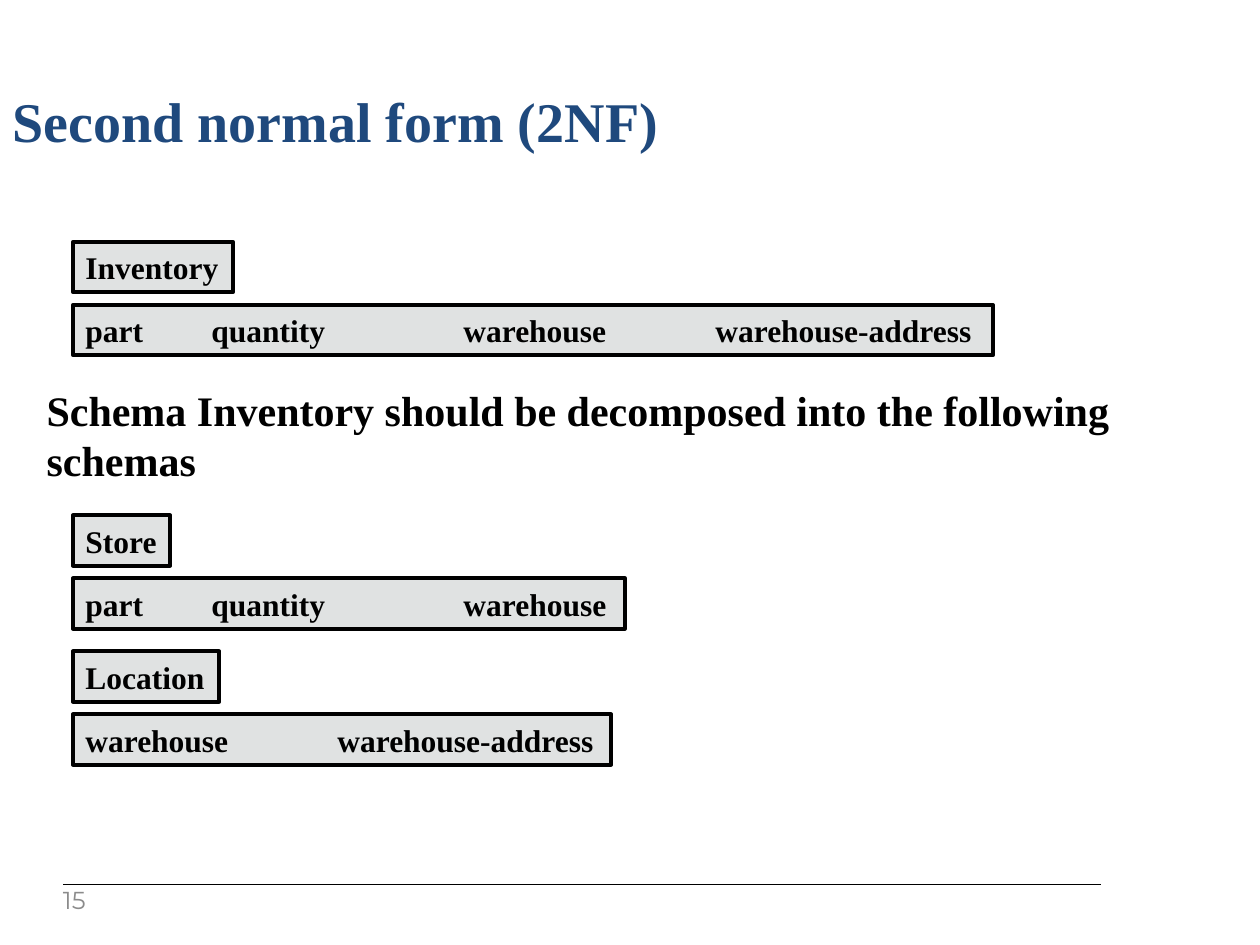
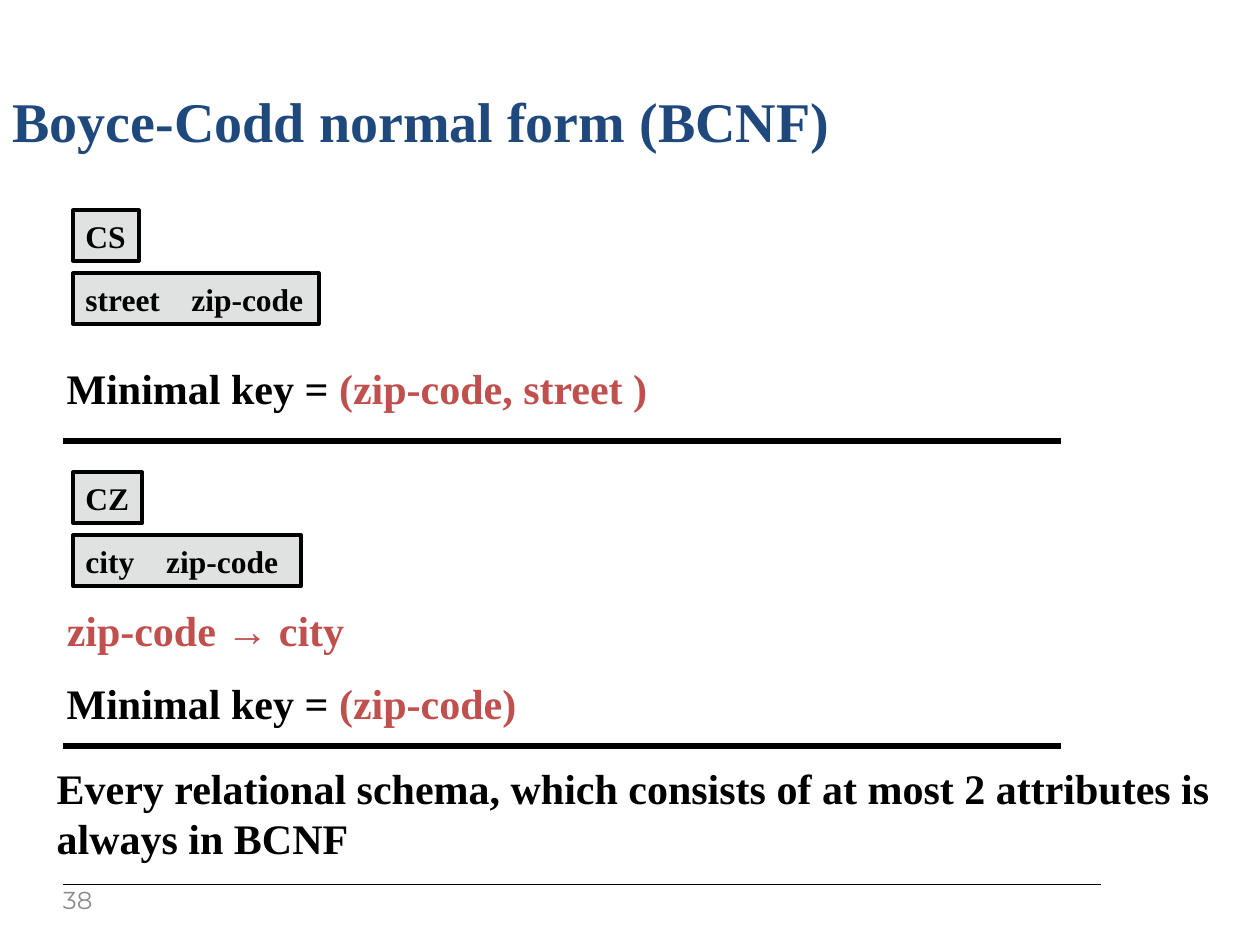
from lxml.etree import SubElement
from pptx import Presentation
from pptx.dml.color import RGBColor
from pptx.enum.shapes import MSO_CONNECTOR, MSO_SHAPE
from pptx.enum.text import MSO_ANCHOR, PP_ALIGN
from pptx.oxml.ns import qn
from pptx.util import Inches, Pt

COLORS = {
    "title": "1F497D",
    "text": "000000",
    "accent": "C0504D",
    "box": "E0E2E2",
    "number": "8B8B8B",
}
SERIF = "Times New Roman"
SANS = "Montserrat"
BOX_LEFT = 0.58
BOX_HEIGHT = 0.4
ROW_OFFSET = 0.5


def rgb(name):
    return RGBColor.from_string(COLORS[name])


class Deck:
    def __init__(self):
        self.presentation = Presentation()
        self.presentation.slide_width = Inches(10)
        self.presentation.slide_height = Inches(7.5)
        self.slide = None

    def set_font(self, paragraph, size, color=None, name=SERIF, bold=True):
        paragraph.alignment = PP_ALIGN.LEFT
        paragraph.font.name = name
        paragraph.font.size = Pt(size)
        paragraph.font.bold = bold
        if color:
            paragraph.font.color.rgb = rgb(color)

    def set_margins(self, frame, left, top, right, bottom):
        frame.margin_left, frame.margin_top = Inches(left), Inches(top)
        frame.margin_right, frame.margin_bottom = Inches(right), Inches(bottom)

    def add_slide(self, title, number):
        self.slide = self.presentation.slides.add_slide(self.presentation.slide_layouts[5])
        shape = self.slide.shapes.title
        shape.left, shape.top = Inches(0), Inches(0.62)
        shape.width, shape.height = Inches(10), Inches(0.67)
        frame = shape.text_frame
        frame.text = title
        frame.vertical_anchor = MSO_ANCHOR.MIDDLE
        self.set_font(frame.paragraphs[0], 32, "title")
        self.line(7.02, 8.74, 0.75)
        self.page_number(number)

    def page_number(self, number):
        frame = self.text_box(0.5, 7.06, 0.4, 0.21)
        self.set_margins(frame, 0, 0, 0.1, 0.05)
        frame.vertical_anchor = MSO_ANCHOR.MIDDLE
        frame.text = str(number)
        self.set_font(frame.paragraphs[0], 14, "number", SANS, False)

    def text_box(self, left, top, width, height):
        shape = self.slide.shapes.add_textbox(
            Inches(left), Inches(top), Inches(width), Inches(height))
        shape.text_frame.word_wrap = True
        return shape.text_frame

    def statement(self, left, top, width, height, *parts):
        frame = self.text_box(left, top, width, height)
        self.set_margins(frame, 0.2, 0.05, 0.2, 0.05)
        paragraph = frame.paragraphs[0]
        self.set_font(paragraph, 24)
        for text, color in parts:
            run = paragraph.add_run()
            run.text = text
            run.font.color.rgb = rgb(color)

    def line(self, top, right, weight):
        connector = self.slide.shapes.add_connector(
            MSO_CONNECTOR.STRAIGHT, Inches(0.5), Inches(top), Inches(right), Inches(top))
        connector.line.color.rgb = rgb("text")
        connector.line.width = Pt(weight)
        SubElement(connector._element.spPr, qn("a:effectLst"))

    def box(self, top, width, text, tabs=()):
        shape = self.slide.shapes.add_shape(
            MSO_SHAPE.RECTANGLE, Inches(BOX_LEFT), Inches(top), Inches(width), Inches(BOX_HEIGHT))
        shape.shadow.inherit = False
        shape.fill.solid()
        shape.fill.fore_color.rgb = rgb("box")
        shape.line.color.rgb = rgb("text")
        shape.line.width = Pt(2.25)
        frame = shape.text_frame
        frame.word_wrap = True
        frame.vertical_anchor = MSO_ANCHOR.TOP
        self.set_margins(frame, 0.1, 0.05, 0, 0.05)
        frame.text = text
        paragraph = frame.paragraphs[0]
        if tabs:
            tab_list = SubElement(paragraph._p.get_or_add_pPr(), qn("a:tabLst"))
            for position in tabs:
                SubElement(tab_list, qn("a:tab"), pos=str(Inches(position)), algn="l")
        self.set_font(paragraph, 18, "text")

    def schema(self, top, name, name_width, attributes, row_width, tabs):
        self.box(top + ROW_OFFSET, row_width, "\t".join(attributes), tabs)
        self.box(top, name_width, name)

    def minimal_key(self, top, key):
        self.statement(0.33, top, 9.67, 0.51, ("Minimal key = ", "text"), (key, "accent"))


def build_second_normal_form(deck):
    deck.add_slide("Second normal form (2NF)", 15)
    deck.schema(1.92, "Inventory", 1.27,
                ["part", "quantity", "warehouse", "warehouse-address"], 7.3, [1, 3, 5])
    deck.statement(0.17, 3, 10, 0.91,
                   ("Schema Inventory should be decomposed into the following schemas", "text"))
    deck.schema(4.09, "Store", 0.77, ["part", "quantity", "warehouse"], 4.38, [1, 3])
    deck.schema(5.17, "Location", 1.16, ["warehouse", "warehouse-address"], 4.27, [2])


def build_boyce_codd(deck):
    deck.add_slide("Boyce-Codd normal form (BCNF)", 38)
    deck.schema(1.67, "CS", 0.52, ["street", "zip-code"], 1.95, [0.84])
    deck.minimal_key(2.83, "(zip-code, street )")
    deck.schema(3.75, "CZ", 0.55, ["city", "zip-code"], 1.81, [0.64])
    deck.statement(0.33, 4.75, 9.22, 0.51, ("zip-code → city", "accent"))
    deck.minimal_key(5.33, "(zip-code)")
    for top in (3.5, 5.92):
        deck.line(top, 8.42, 3)
    deck.statement(
        0.25, 6, 10, 0.91,
        ("Every relational schema, which consists of at most 2 attributes is always in BCNF", "text"))


def main():
    deck = Deck()
    build_second_normal_form(deck)
    build_boyce_codd(deck)
    deck.presentation.save("out.pptx")


if __name__ == "__main__":
    main()
